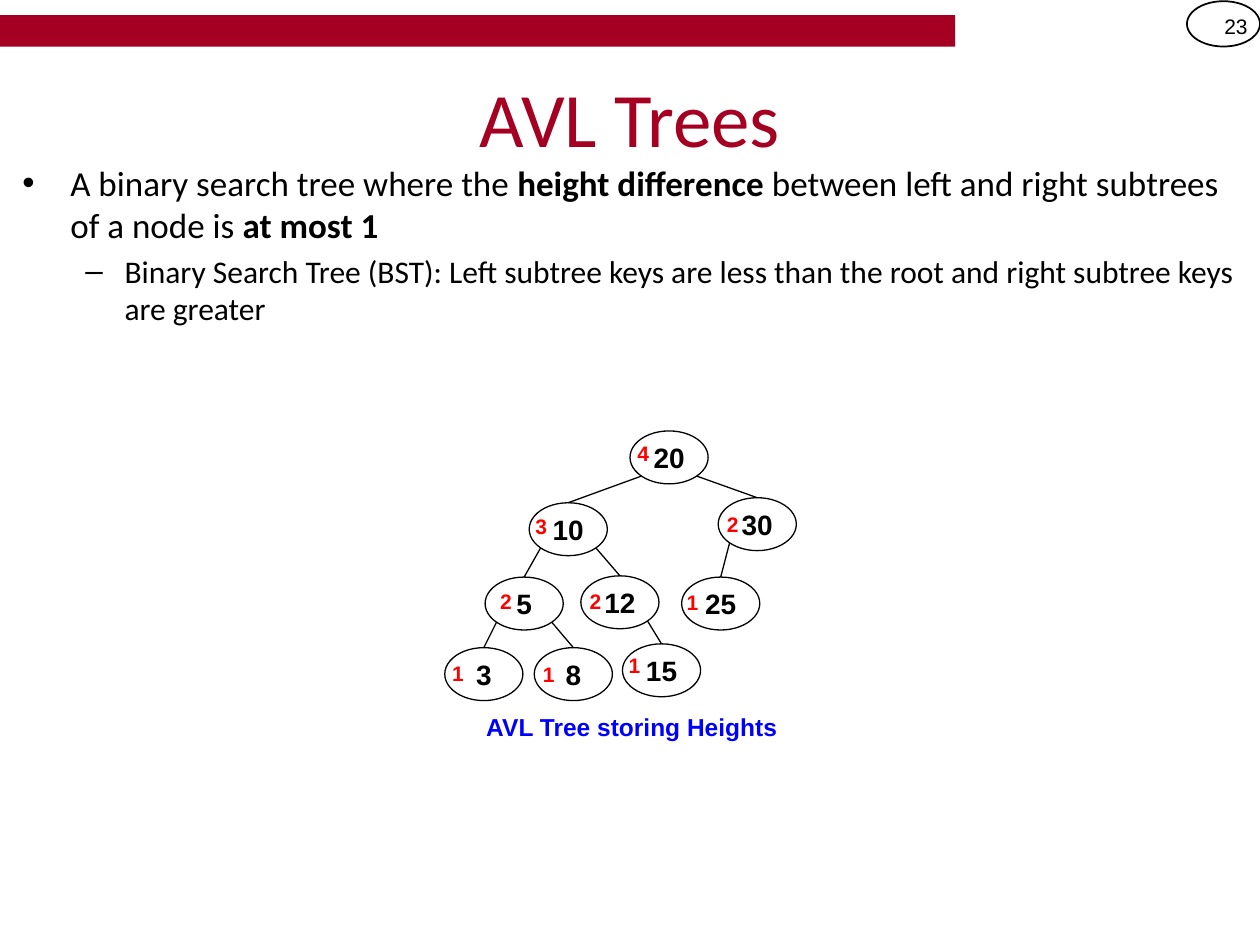
"""Build the AVL Trees slide with a binary search tree that stores node heights."""
from math import sqrt

from lxml.etree import SubElement
from pptx import Presentation
from pptx.dml.color import RGBColor
from pptx.enum.shapes import MSO_CONNECTOR, MSO_SHAPE
from pptx.enum.text import MSO_ANCHOR, PP_ALIGN
from pptx.oxml.ns import qn
from pptx.util import Inches, Pt

BLACK = RGBColor(0x00, 0x00, 0x00)
WHITE = RGBColor(0xFF, 0xFF, 0xFF)
CRIMSON = RGBColor(0xA5, 0x00, 0x21)
RED = RGBColor(0xFF, 0x00, 0x00)
BLUE = RGBColor(0x00, 0x00, 0xFF)

deck = Presentation()
deck.slide_width, deck.slide_height = Inches(10), Inches(7.5)
page = deck.slides.add_slide(deck.slide_layouts[6])
column, row = deck.slide_width / 100, deck.slide_height / 75


def grid(left, top, width, height):
    return [int(value) for value in (left * column, top * row, width * column, height * row)]


def write(frame, spans, align, anchor=MSO_ANCHOR.TOP, para=None):
    frame.word_wrap = True
    frame.vertical_anchor = anchor
    para = para or frame.paragraphs[0]
    para.alignment = align
    for text, values in spans:
        span = para.add_run()
        span.text = text
        span.font.color.rgb = values["color"]
        for name in ("name", "size", "bold"):
            setattr(span.font, name, values[name])


PAGE_NUMBER = {"name": "Arial", "size": Pt(12), "bold": False, "color": BLACK}
TITLE = {"name": "Calibri", "size": Pt(44), "bold": False, "color": CRIMSON}
BODY = {"name": "Calibri", "size": Pt(20), "bold": False, "color": BLACK}
STRONG = {**BODY, "bold": True}
DETAIL = {**BODY, "size": Pt(18)}
KEY = {"name": "Arial", "size": Pt(16), "bold": True, "color": BLACK}
HEIGHT = {**KEY, "size": Pt(12), "color": RED}
CAPTION = {**KEY, "size": Pt(14), "color": BLUE}

bar = page.shapes.add_shape(MSO_SHAPE.RECTANGLE, *grid(0, 1.2, 75.8, 2.5))
bar.shadow.inherit = False
bar.fill.solid()
bar.fill.fore_color.rgb = CRIMSON
bar.line.fill.background()

badge = page.shapes.add_shape(MSO_SHAPE.OVAL, *grid(94.2, 0.1, 5.8, 3.6))
badge.shadow.inherit = False
badge.fill.background()
badge.line.color.rgb = BLACK
badge.line.width = Pt(1)

number = page.shapes.add_textbox(*grid(94.2, 0.1, 5.8, 4))
write(number.text_frame, [("23", PAGE_NUMBER)], PP_ALIGN.RIGHT, MSO_ANCHOR.MIDDLE)
title = page.shapes.add_textbox(*grid(5, 3, 90, 12.5))
write(title.text_frame, [("AVL Trees", TITLE)], PP_ALIGN.CENTER, MSO_ANCHOR.MIDDLE)

bullets = [
    ("•", 0, 0.38, 0.38, 0, [
        ("A binary search tree where the ", BODY),
        ("height difference ", STRONG),
        ("between left and right subtrees of a node is ", BODY),
        ("at most 1", STRONG),
    ]),
    ("–", 1, 0.81, 0.31, 3.6, [
        ("Binary Search Tree (BST): Left subtree keys are less than the root "
         "and right subtree keys are greater", DETAIL),
    ]),
]
body = page.shapes.add_textbox(*grid(0.8, 12.3, 99.2, 35.5)).text_frame
for index, (mark, level, margin, hanging, space, spans) in enumerate(bullets):
    para = body.add_paragraph() if index else body.paragraphs[0]
    para.level = level
    para.space_before = Pt(space)
    properties = para._p.get_or_add_pPr()
    properties.set("marL", str(Inches(margin)))
    properties.set("indent", str(-Inches(hanging)))
    SubElement(properties, qn("a:buFont")).set("typeface", "Arial")
    SubElement(properties, qn("a:buChar")).set("char", mark)
    write(body, spans, PP_ALIGN.LEFT, para=para)

node_width, node_height = 6.2, 4.2
nodes = {
    "20": (50, 34.2),
    "30": (57, 39.5),
    "10": (42, 39.9),
    "12": (46.1, 45.7),
    "25": (54.1, 45.8),
    "5": (38.5, 45.8),
    "3": (35.3, 51.4),
    "8": (42.4, 51.4),
    "15": (49.4, 51.1),
}
for key, (left, top) in nodes.items():
    node = page.shapes.add_shape(MSO_SHAPE.OVAL, *grid(left, top, node_width, node_height))
    node.shadow.inherit = False
    node.fill.solid()
    node.fill.fore_color.rgb = WHITE
    node.line.color.rgb = BLACK
    node.line.width = Pt(0.75)
    node.text_frame.margin_left = node.text_frame.margin_right = 0
    write(node.text_frame, [(key, KEY)], PP_ALIGN.CENTER, MSO_ANCHOR.MIDDLE)

LEFT, RIGHT = -1, 1
edges = [
    ("20", LEFT, "10"), ("20", RIGHT, "30"),
    ("10", LEFT, "5"), ("10", RIGHT, "12"), ("30", LEFT, "25"),
    ("5", LEFT, "3"), ("5", RIGHT, "8"), ("12", RIGHT, "15"),
]
diagonal = sqrt(0.5)
for parent, side, child in edges:
    parent_left, parent_top = nodes[parent]
    child_left, child_top = nodes[child]
    start = (parent_left + node_width / 2 * (1 + side * diagonal),
             parent_top + node_height / 2 * (1 + diagonal))
    end = (child_left + node_width / 2, child_top)
    edge = page.shapes.add_connector(MSO_CONNECTOR.STRAIGHT, *grid(*start, *end))
    edge.line.color.rgb = BLACK
    edge.line.width = Pt(0.75)
    SubElement(edge._element.spPr, qn("a:effectLst"))

heights = [
    ("4", 48.7, 34.5, 3.8),
    ("3", 40.7, 40.3, 3.7),
    ("2", 56.1, 40.1, 3.5),
    ("2", 45.1, 46.2, 3.6),
    ("1", 53.4, 46.3, 3),
    ("2", 37, 46.2, 4.6),
    ("1", 34.1, 51.9, 3.7),
    ("1", 41.3, 52, 3.7),
    ("1", 48.8, 51.3, 3),
]
for text, left, top, width in heights:
    label = page.shapes.add_textbox(*grid(left, top, width, 3))
    write(label.text_frame, [(text, HEIGHT)], PP_ALIGN.RIGHT)

caption = page.shapes.add_textbox(*grid(35.3, 56, 29.7, 3.4))
write(caption.text_frame, [("AVL Tree storing Heights", CAPTION)], PP_ALIGN.CENTER)

deck.save("out.pptx")
